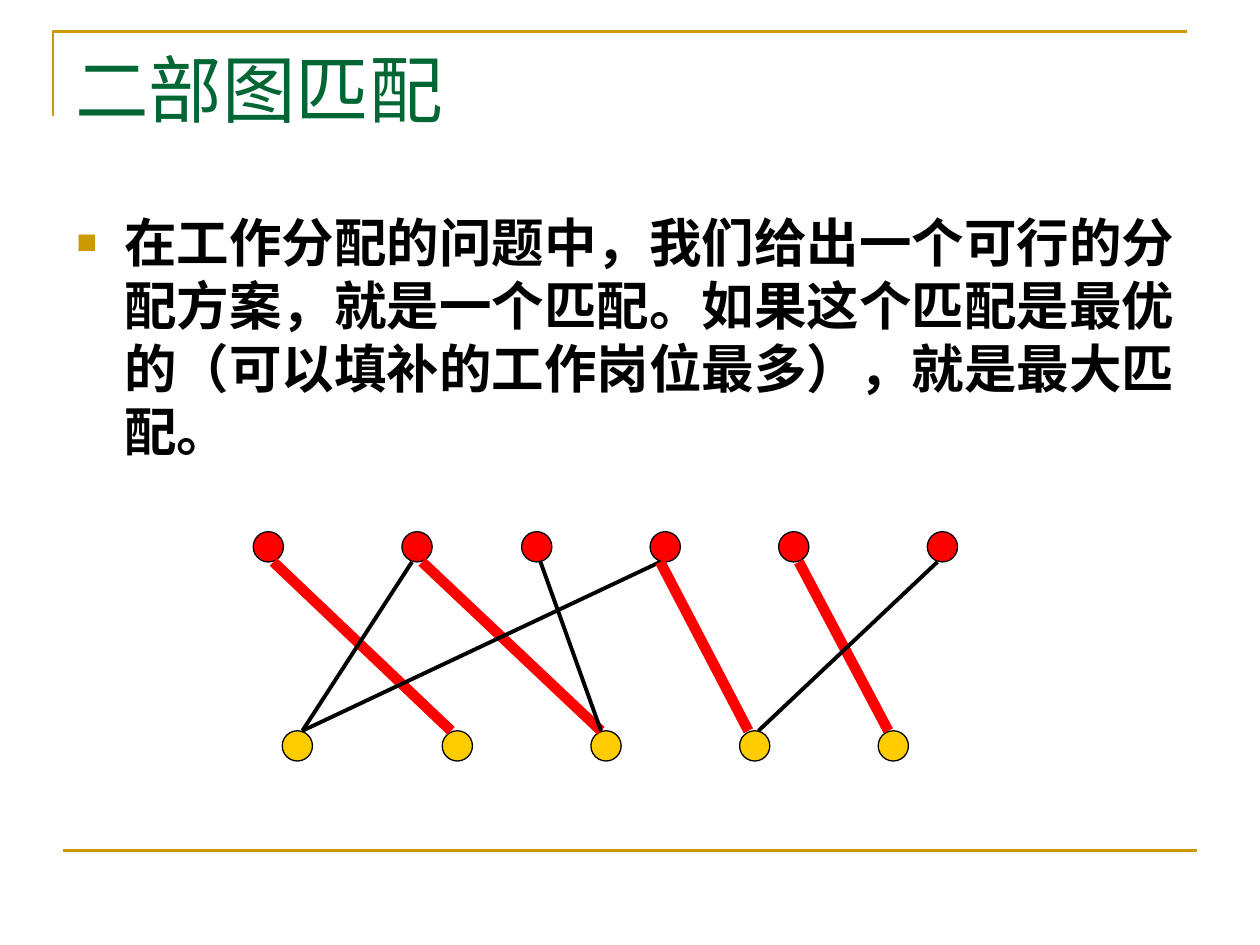
"""Build the bipartite matching slide with its worker and job graph."""
import pptx
import pptx.dml.color
import pptx.enum.shapes
import pptx.enum.text
import pptx.oxml
import pptx.oxml.ns
import pptx.util

Inches = pptx.util.Inches
Pt = pptx.util.Pt


def color(value):
    return pptx.dml.color.RGBColor.from_string(value)


def draw_line(page, start, end, line_color, width):
    line = page.shapes.add_connector(
        pptx.enum.shapes.MSO_CONNECTOR.STRAIGHT,
        *(Inches(value) for value in (*start, *end)))
    line.line.color.rgb = color(line_color)
    line.line.width = Pt(width)
    line._element.spPr.append(pptx.oxml.parse_xml(
        f'<a:effectLst {pptx.oxml.ns.nsdecls("a")}/>'))


GOLD, GREEN, BLACK, RED, YELLOW = "CC9900", "006633", "000000", "FF0000", "FFCC00"

deck = pptx.Presentation()
deck.slide_width, deck.slide_height = Inches(10), Inches(7.5)
page = deck.slides.add_slide(deck.slide_layouts[6])

builder = page.shapes.build_freeform(Inches(0.42), Inches(0.92))
builder.add_line_segments(
    [(Inches(0.42), Inches(0.25)), (Inches(9.42), Inches(0.25))], close=False)
frame = builder.convert_to_shape()
frame.shadow.inherit = False
frame.fill.background()
frame.line.color.rgb = color(GOLD)
frame.line.width = Pt(1.5)
draw_line(page, (0.5, 6.75), (9.5, 6.75), GOLD, 1.5)

texts = [
    ("二部图匹配", (0.5, 0.3, 9, 1.25), GREEN,
     {"name": "Times New Roman", "size": Pt(42), "bold": False}),
    ("在工作分配的问题中，我们给出一个可行的分配方案，就是一个匹配。"
     "如果这个匹配是最优的（可以填补的工作岗位最多），就是最大匹配。",
     (0.51, 1.62, 9, 4.95), BLACK,
     {"name": "Arial", "size": Pt(30), "bold": True}),
]
box_format = {
    "word_wrap": True,
    "vertical_anchor": pptx.enum.text.MSO_ANCHOR.TOP,
    "margin_left": Inches(0.1),
    "margin_right": Inches(0.1),
    "margin_top": Inches(0.05),
    "margin_bottom": Inches(0.05),
}
for words, place, text_color, font_format in texts:
    box = page.shapes.add_textbox(*(Inches(value) for value in place))
    for name, value in box_format.items():
        setattr(box.text_frame, name, value)
    para = box.text_frame.paragraphs[0]
    span = para.add_run()
    span.text = words
    span.font.color.rgb = color(text_color)
    for name, value in font_format.items():
        setattr(span.font, name, value)

para.space_before = Pt(7.5)
bullet = para._p.get_or_add_pPr()
bullet.set("marL", str(Inches(0.38)))
bullet.set("indent", str(-Inches(0.38)))
for tag in (f'buClr {{}}><a:srgbClr val="{GOLD}"/></a:buClr>',
            'buSzPct {} val="65000"/>',
            'buFont {} typeface="Arial"/>',
            'buChar {} char="■"/>'):
    bullet.append(pptx.oxml.parse_xml("<a:" + tag.format(pptx.oxml.ns.nsdecls("a"))))

node_size, worker_top, job_top = 0.24, 4.22, 5.8
node_rows = [
    (worker_top, RED, (2.01, 3.19, 4.14, 5.16, 6.18, 7.36)),
    (job_top, YELLOW, (2.24, 3.51, 4.69, 5.87, 6.97)),
]
for top, fill, lefts in node_rows:
    for left in lefts:
        node = page.shapes.add_shape(
            pptx.enum.shapes.MSO_SHAPE.OVAL, Inches(left), Inches(top),
            Inches(node_size), Inches(node_size))
        node.shadow.inherit = False
        node.fill.solid()
        node.fill.fore_color.rgb = color(fill)
        node.line.color.rgb = color(BLACK)
        node.line.width = Pt(0.75)

matched, unmatched = (RED, 6), (BLACK, 2.25)
edges = [
    (2.17, 3.58, matched),
    (3.35, 4.77, matched),
    (5.24, 2.4, unmatched),
    (5.24, 5.94, matched),
    (6.34, 7.05, matched),
    (7.44, 6.02, unmatched),
    (4.29, 4.77, unmatched),
    (3.27, 2.4, unmatched),
]
for worker_x, job_x, style in edges:
    draw_line(page, (worker_x, worker_top + node_size), (job_x, job_top), *style)

deck.save("out.pptx")
